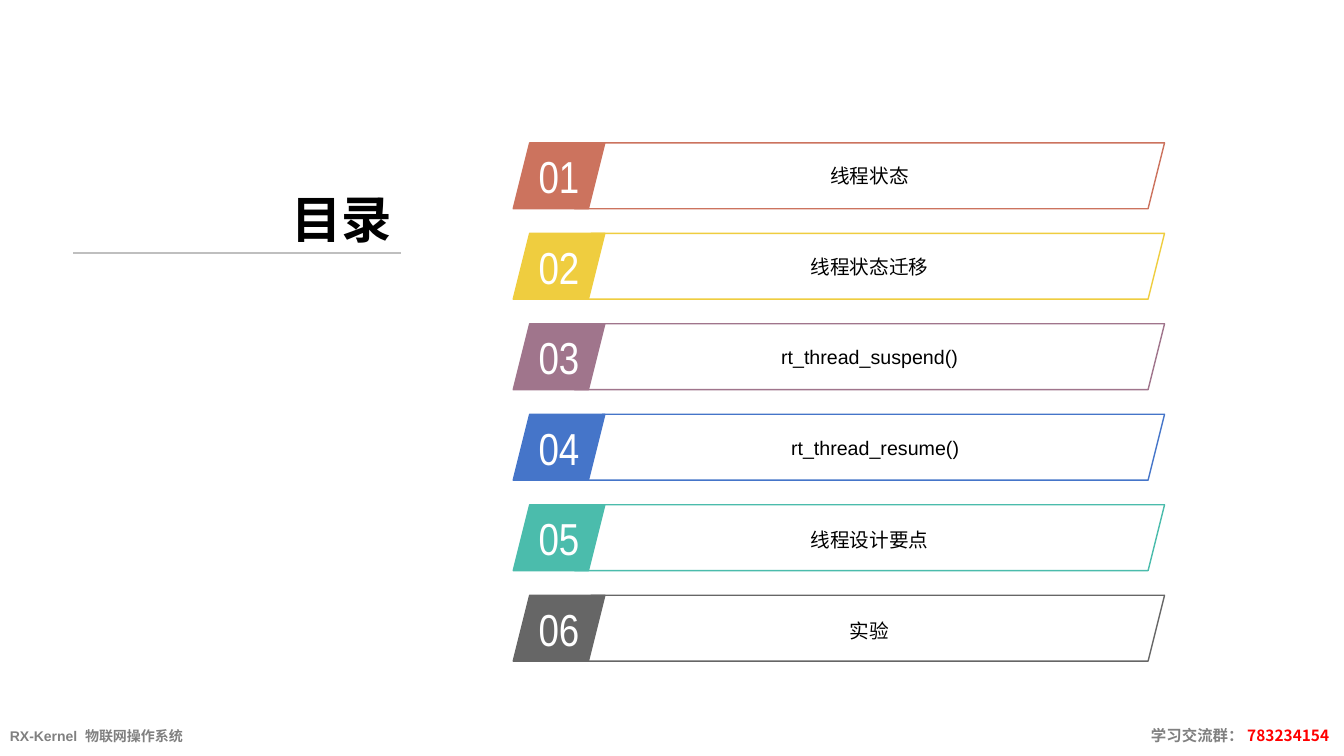
import pptx
import pptx.util
import pptx.dml.color
import pptx.enum.shapes
import pptx.enum.text
import lxml.etree

Cm = pptx.util.Cm
Pt = pptx.util.Pt
Align = pptx.enum.text.PP_ALIGN
Anchor = pptx.enum.text.MSO_ANCHOR

TITLE = "目录"
TOPICS = [
    ("线程状态", "CC735E", 14.48, 1.0),
    ("线程状态迁移", "EFCD3F", 14.48, 1.0),
    ("rt_thread_suspend()", "A0758C", 14.48, 1.0),
    ("rt_thread_resume()", "4575C9", 14.76, 1.0),
    ("线程设计要点", "4BBCAC", 14.48, 1.2),
    ("实验", "666666", 14.48, 1.2),
]
FOOTER_LEFT = [("RX-Kernel  物联网操作系统", 10, "Arial", "808080")]
FOOTER_RIGHT = [
    ("学习交流群： ", 11, "Arial", "808080"),
    ("783234154", 11, "Noto Sans CJK KR", "FF0000"),
]

PAGE_WIDTH, PAGE_HEIGHT = 33.86, 19.05
LIST_TOP, ROW_PITCH, ROW_HEIGHT = 3.6, 2.28, 1.66
NUMBER_LEFT, NUMBER_WIDTH, BAR_RIGHT = 12.93, 2.31, 29.34
FOOTER_TOP, FOOTER_HEIGHT = 18.03, 1.02


def color(code):
    return pptx.dml.color.RGBColor.from_string(code)


def write(box, spans, align=Align.CENTER, anchor=Anchor.MIDDLE,
          wrap=True, bold=False, spacing=1.0):
    frame = box.text_frame
    frame.word_wrap = wrap
    frame.vertical_anchor = anchor
    para = frame.paragraphs[0]
    para.alignment = align
    para.line_spacing = spacing
    for text, size, font, code in spans:
        span = para.add_run()
        span.text = text
        span.font.size = Pt(size)
        span.font.name = font
        span.font.bold = bold
        span.font.color.rgb = color(code)


def add_slanted(page, left, top, width, code, filled):
    box = page.shapes.add_shape(
        pptx.enum.shapes.MSO_SHAPE.PARALLELOGRAM,
        Cm(left), Cm(top), Cm(width), Cm(ROW_HEIGHT))
    box.shadow.inherit = False
    if filled:
        box.fill.solid()
        box.fill.fore_color.rgb = color(code)
    else:
        box.fill.background()
    box.line.color.rgb = color(code)
    box.line.width = Pt(1)
    return box


def add_text(page, left, top, width, height, spans, **text_format):
    box = page.shapes.add_textbox(Cm(left), Cm(top), Cm(width), Cm(height))
    write(box, spans, **text_format)


def add_rule(page, left, right, top):
    rule = page.shapes.add_connector(
        pptx.enum.shapes.MSO_CONNECTOR.STRAIGHT,
        Cm(left), Cm(top), Cm(right), Cm(top))
    rule.line.color.rgb = color("BFBFBF")
    rule.line.width = Pt(1.5)
    lxml.etree.SubElement(rule._element.spPr, pptx.oxml.ns.qn("a:effectLst"))


def main():
    deck = pptx.Presentation()
    deck.slide_width = Cm(PAGE_WIDTH)
    deck.slide_height = Cm(PAGE_HEIGHT)
    page = deck.slides.add_slide(deck.slide_layouts[6])

    for index, (topic, code, bar_left, spacing) in enumerate(TOPICS):
        top = LIST_TOP + index * ROW_PITCH
        number = add_slanted(page, NUMBER_LEFT, top, NUMBER_WIDTH, code, True)
        write(number, [(f"{index + 1:02}", 32, "Arial Narrow", "FFFFFF")], wrap=False)
        bar = add_slanted(page, bar_left, top, BAR_RIGHT - bar_left, code, False)
        write(bar, [(topic, 14, "Arial", "000000")], spacing=spacing)

    add_rule(page, 1.85, 10.11, 6.38)
    add_text(page, 4.06, 3.6, 6.07, 2.8, [(TITLE, 36, "Arial", "000000")],
             align=Align.RIGHT, anchor=Anchor.BOTTOM, bold=True)
    add_text(page, 0, FOOTER_TOP, 12, FOOTER_HEIGHT, FOOTER_LEFT,
             align=Align.LEFT, bold=True)
    add_text(page, 23.74, FOOTER_TOP, 10, FOOTER_HEIGHT, FOOTER_RIGHT,
             align=Align.RIGHT, bold=True)

    deck.save("out.pptx")


if __name__ == "__main__":
    main()
